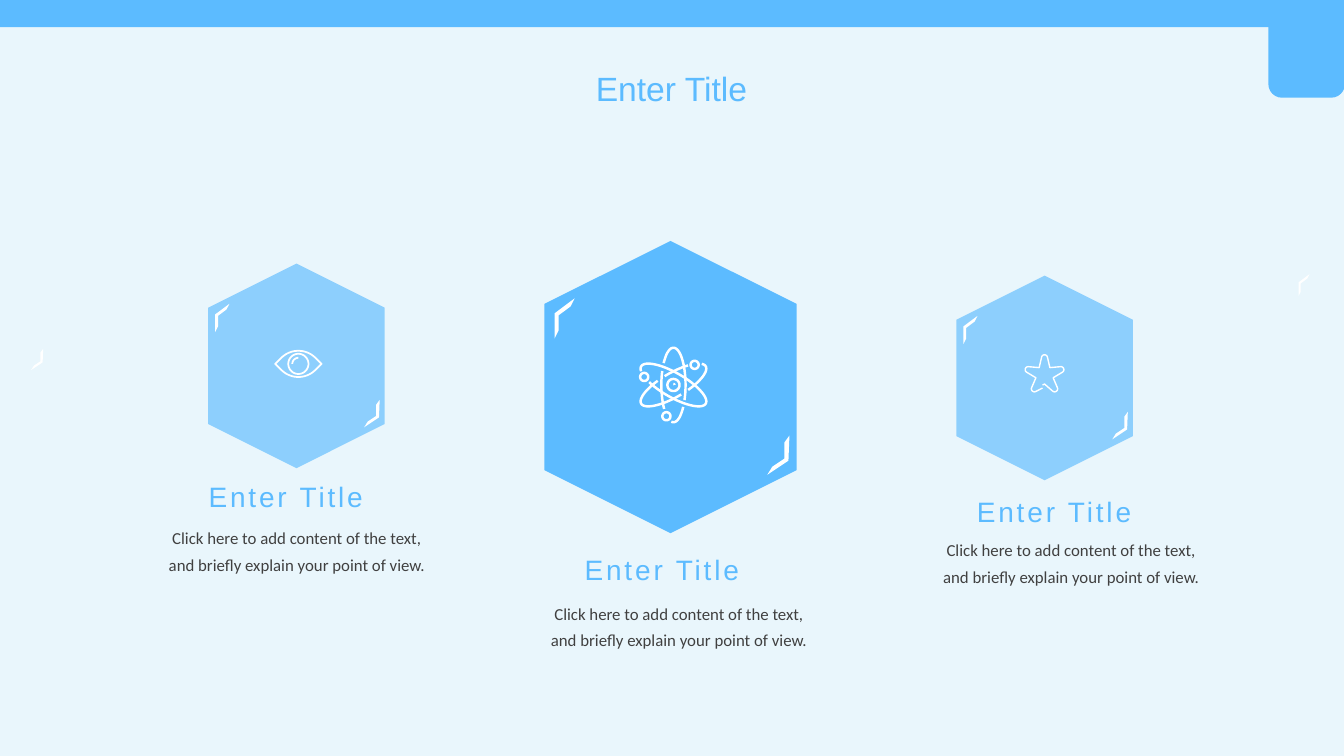
from math import cos, radians, sin

from pptx import Presentation
from pptx.dml.color import RGBColor
from pptx.enum.shapes import MSO_SHAPE
from pptx.enum.text import MSO_ANCHOR, MSO_AUTO_SIZE, PP_ALIGN
from pptx.oxml import parse_xml
from pptx.oxml.ns import nsdecls
from pptx.util import Inches, Pt

RECTANGLE = MSO_SHAPE.RECTANGLE
ROUNDED = MSO_SHAPE.ROUNDED_RECTANGLE
HEXAGON = MSO_SHAPE.HEXAGON
CENTER = PP_ALIGN.CENTER
LEFT = PP_ALIGN.LEFT
TOP = MSO_ANCHOR.TOP
NO_AUTOFIT = MSO_AUTO_SIZE.NONE

BLUE = RGBColor(0x5C, 0xBB, 0xFF)
PALE = RGBColor(0xE9, 0xF6, 0xFC)
WHITE = RGBColor(0xFF, 0xFF, 0xFF)
GRAY = RGBColor(0x40, 0x40, 0x40)

UPPER_CHEVRON = [(0, 0.15), (0.2, 0), (0.16, 0.08), (0.04, 0.17), (0.04, 0.32), (0, 0.4)]
LOWER_CHEVRON = [(0.21, 0.25), (0.22, 0), (0.17, 0.07), (0.17, 0.23), (0.05, 0.31), (0, 0.39)]
CAPTION = "Click here to add content of the text,\nand briefly explain your point of view."


def arc(x, y, rx, ry, start, end, tilt=0):
    steps = max(8, int(abs(end - start) / 6))
    turn = radians(tilt)
    points = []
    for step in range(steps + 1):
        angle = radians(start + (end - start) * step / steps)
        along, across = rx * cos(angle), ry * sin(angle)
        points.append((x + along * cos(turn) - across * sin(turn),
                       y + along * sin(turn) + across * cos(turn)))
    return points


def circle(x, y, radius):
    return arc(x, y, radius, radius, 0, 360)


def atom_strokes():
    orbits = {
        90: [(126, 294), (-54, 10), (50, 112)],
        30: [(159, 487)],
        -30: [(-20, 74), (87, 252), (265, 307)],
    }
    electrons = [(0.21, -0.2), (-0.29, -0.08), (-0.07, 0.31)]
    strokes = [arc(0, 0, 0.37, 0.12, start, end, tilt)
               for tilt, spans in orbits.items() for start, end in spans]
    strokes += [circle(x, y, 0.04) for x, y in electrons]
    return strokes + [circle(0, 0, 0.06), arc(0, 0, 0.01, 0.01, -90, 0)]


def eye_strokes():
    upper_lid = arc(0, 0.11, 0.24, 0.24, 225, 315)
    lower_lid = arc(0, -0.11, 0.24, 0.24, 45, 135)
    left_corner, right_corner = (-0.23, 0), (0.23, 0)
    lids = [left_corner, *upper_lid, right_corner, *lower_lid, left_corner]
    return [lids, circle(0, 0, 0.1), arc(0, 0, 0.06, 0.06, 180, 270)]


def star_strokes():
    outline = [(-0.02, 0.13)]
    for tip in range(126, 415, 72):
        x, y = cos(radians(tip)), sin(radians(tip))
        outline += arc(0.17 * x, 0.17 * y, 0.03, 0.03, tip - 70, tip + 70)
        notch = radians(tip + 36)
        outline.append((0.09 * cos(notch), 0.09 * sin(notch)))
    return [outline + [(-0.02, 0.1)]]


class Deck:
    def __init__(self):
        self.presentation = Presentation()
        self.presentation.slide_width = Inches(13.33)
        self.presentation.slide_height = Inches(7.5)
        self.slide = self.presentation.slides.add_slide(self.presentation.slide_layouts[5])
        self.slide.background.fill.solid()
        self.slide.background.fill.fore_color.rgb = PALE

    def paint(self, shape, color):
        shape.shadow.inherit = False
        shape.fill.solid()
        shape.fill.fore_color.rgb = color
        shape.line.fill.background()

    def block(self, preset, left, top, width, height, opacity=100):
        shape = self.slide.shapes.add_shape(
            preset, Inches(left), Inches(top), Inches(width), Inches(height))
        self.paint(shape, BLUE)
        if opacity < 100:
            tint = shape.element.xpath("./p:spPr/a:solidFill/a:srgbClr")[0]
            tint.append(parse_xml(f'<a:alpha {nsdecls("a")} val="{opacity * 1000}"/>'))
        return shape

    def outline(self, x, y, strokes, scale=1, close=False):
        contours = [[(Inches(x + dx * scale), Inches(y + dy * scale)) for dx, dy in stroke]
                    for stroke in strokes]
        builder = self.slide.shapes.build_freeform(*contours[0][0], scale=1.0)
        for index, contour in enumerate(contours):
            if index:
                builder.move_to(*contour[0])
            builder.add_line_segments(contour[1:], close=close)
        return builder.convert_to_shape()

    def icon(self, x, y, strokes, weight):
        drawing = self.outline(x, y, strokes)
        drawing.shadow.inherit = False
        drawing.fill.background()
        drawing.line.color.rgb = WHITE
        drawing.line.width = Pt(weight)

    def chevron(self, x, y, points, scale):
        self.paint(self.outline(x, y, [points], scale, close=True), WHITE)

    def badge(self, x, y, scale, opacity):
        width, height = 2.9 * scale, 2.5 * scale
        hexagon = self.block(HEXAGON, x - width / 2, y - height / 2, width, height, opacity)
        hexagon.rotation = 90
        self.chevron(x - 1.15 * scale, y - 0.88 * scale, UPPER_CHEVRON, scale)
        self.chevron(x + 0.96 * scale, y + 0.48 * scale, LOWER_CHEVRON, scale)

    def set_text(self, shape, words, size, font, color, align, line_spacing=1.0, tracking=0):
        frame = shape.text_frame
        frame.text = words
        frame.word_wrap = True
        frame.auto_size = NO_AUTOFIT
        frame.vertical_anchor = TOP
        for paragraph in frame.paragraphs:
            paragraph.alignment = align
            paragraph.line_spacing = line_spacing
            for run in paragraph.runs:
                run.font.size = Pt(size)
                run.font.name = font
                run.font.color.rgb = color
                if tracking:
                    run._r.get_or_add_rPr().set("spc", str(tracking * 100))

    def title(self, words):
        heading = self.slide.shapes.title
        heading.left, heading.top = Inches(4.83), Inches(0.62)
        heading.width, heading.height = Inches(3.66), Inches(0.5)
        self.set_text(heading, words, 24, "Arial", BLUE, CENTER)

    def text_box(self, left, top, width, height, words, *style):
        box = self.slide.shapes.add_textbox(
            Inches(left), Inches(top), Inches(width), Inches(height))
        self.set_text(box, words, *style)


def main():
    deck = Deck()
    deck.block(RECTANGLE, 0, 0, 13.33, 0.27)
    corner_tab = deck.block(ROUNDED, 12.58, 0.14, 0.76, 0.83)
    corner_tab.adjustments[0] = 0.18
    deck.title("Enter Title")

    topics = [
        ((2.94, 3.63), 0.7, 65, (1.97, 4.64), (1.31, 5.13)),
        ((6.65, 3.84), 1, 100, (5.7, 5.37), (5.1, 5.88)),
        ((10.36, 3.75), 0.7, 65, (9.59, 4.79), (8.99, 5.25)),
    ]
    for center, scale, opacity, heading_at, caption_at in topics:
        deck.badge(*center, scale, opacity)
        deck.text_box(*heading_at, 2.07, 0.5, "Enter Title", 20, "Arial", BLUE, LEFT, 1.2, 2)
        deck.text_box(*caption_at, 3.27, 0.62, CAPTION, 12, "Calibri", GRAY, CENTER, 1.3)

    deck.icon(2.96, 3.61, eye_strokes(), 1.25)
    deck.icon(6.68, 3.82, atom_strokes(), 1.75)
    deck.icon(10.36, 3.72, star_strokes(), 1)
    deck.chevron(12.88, 2.72, UPPER_CHEVRON, 0.54)
    deck.chevron(0.31, 3.46, LOWER_CHEVRON, 0.54)
    deck.presentation.save("out.pptx")


if __name__ == "__main__":
    main()
